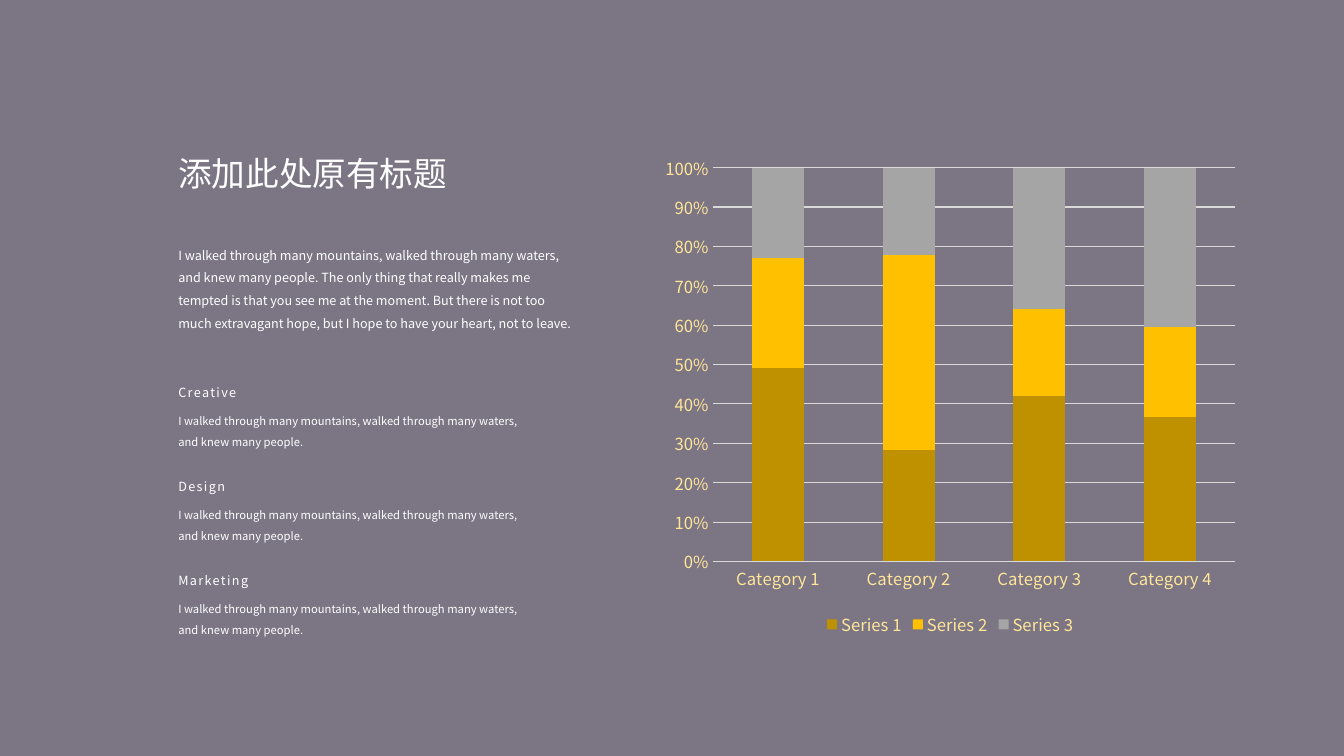
from dataclasses import dataclass

from lxml import etree
from pptx import Presentation
from pptx import util as u
from pptx.chart import data as chart_data
from pptx.dml.color import RGBColor
from pptx.enum import chart as charts, text
from pptx.oxml.ns import qn

FONT = "Noto Sans CJK SC"
COLORS = {
    "background": "7B7584",
    "text": "FFFFFF",
    "label": "FFE699",
    "grid": "D9D9D9",
}
SHORT_TEXT = "I walked through many mountains, walked through many waters, and knew many people."
LONG_TEXT = (
    SHORT_TEXT + " The only thing that really makes me tempted is that you see me at the moment."
    " But there is not too much extravagant hope, but I hope to have your heart, not to leave."
)
TEXT_LEFT = 1.67
TOPICS = ("Creative", "Design", "Marketing")
TOPICS_TOP, TOPIC_STEP, TOPIC_TEXT_OFFSET = 3.77, 0.93, 0.22
CATEGORIES = [f"Category {number}" for number in range(1, 5)]


@dataclass(frozen=True)
class TextBlock:
    words: str
    top: float
    width: float
    height: float
    size: float
    line_spacing: float | u.Length | None = None
    middle: bool = False
    tracking: int = 0  # hundredths of a point


@dataclass(frozen=True)
class Series:
    name: str
    values: tuple[int, ...]
    color: str


SERIES = (
    Series("Series 1", (49, 28, 42, 37), "BF9000"),
    Series("Series 2", (28, 49, 22, 23), "FFC000"),
    Series("Series 3", (23, 22, 36, 41), "A5A5A5"),
)


def rgb(name: str) -> RGBColor:
    return RGBColor.from_string(COLORS[name])


def set_font(font, size: float, color: str) -> None:
    for attribute, value in {"name": FONT, "size": u.Pt(size)}.items():
        setattr(font, attribute, value)
    font.color.rgb = rgb(color)


def add_text(slide, block: TextBlock) -> None:
    box = slide.shapes.add_textbox(
        u.Inches(TEXT_LEFT), u.Inches(block.top), u.Inches(block.width), u.Inches(block.height)
    )
    frame = box.text_frame
    frame_format = {
        "word_wrap": True,
        "auto_size": text.MSO_AUTO_SIZE.SHAPE_TO_FIT_TEXT,
        "vertical_anchor": text.MSO_ANCHOR.MIDDLE if block.middle else text.MSO_ANCHOR.TOP,
    }
    for attribute, value in frame_format.items():
        setattr(frame, attribute, value)
    paragraph = frame.paragraphs[0]
    paragraph.line_spacing = block.line_spacing
    run = paragraph.add_run()
    run.text = block.words
    set_font(run.font, block.size, "text")
    properties = run._r.get_or_add_rPr()
    etree.SubElement(properties, qn("a:ea"), typeface=FONT)
    if block.tracking:
        properties.set("spc", str(block.tracking))


def add_share_chart(slide) -> None:
    """Add the columns that show each series' share of its category."""
    shares = chart_data.CategoryChartData()
    shares.categories = CATEGORIES
    for series in SERIES:
        shares.add_series(series.name, series.values)
    chart = slide.shapes.add_chart(
        charts.XL_CHART_TYPE.COLUMN_STACKED_100,
        u.Inches(6.48), u.Inches(1.44), u.Inches(5.89), u.Inches(4.92), shares,
    ).chart
    set_font(chart.font, 10, "label")
    chart.has_title = False

    plot = chart.plots[0]
    for attribute, value in {"gap_width": 150, "overlap": 100, "vary_by_categories": False}.items():
        setattr(plot, attribute, value)
    for column, series in zip(plot.series, SERIES):
        column.format.fill.solid()
        column.format.fill.fore_color.rgb = RGBColor.from_string(series.color)

    axis_format = {
        "major_tick_mark": charts.XL_TICK_MARK.NONE,
        "minor_tick_mark": charts.XL_TICK_MARK.NONE,
    }
    for axis in (chart.category_axis, chart.value_axis):
        for attribute, value in axis_format.items():
            setattr(axis, attribute, value)
        axis.format.line.fill.background()
        set_font(axis.tick_labels.font, 11.9, "label")
    percent_labels = chart.value_axis.tick_labels
    percent_labels.number_format = "0%"
    percent_labels.number_format_is_linked = False
    chart.value_axis.has_major_gridlines = True
    grid_line = chart.value_axis.major_gridlines.format.line
    grid_line.width = u.Pt(0.75)
    grid_line.color.rgb = rgb("grid")

    chart.has_legend = True
    chart.legend.position = charts.XL_LEGEND_POSITION.BOTTOM
    chart.legend.include_in_layout = False
    set_font(chart.legend.font, 11.9, "label")


def main() -> None:
    deck = Presentation()
    deck.slide_width, deck.slide_height = u.Inches(13.33), u.Inches(7.5)
    slide = deck.slides.add_slide(deck.slide_layouts[6])
    slide.background.fill.solid()
    slide.background.fill.fore_color.rgb = rgb("background")

    add_share_chart(slide)
    add_text(slide, TextBlock("添加此处原有标题", 1.47, 2.87, 0.5, 24, middle=True))
    add_text(slide, TextBlock(LONG_TEXT, 2.33, 4.13, 0.99, 9, line_spacing=1.5))
    for index, topic in enumerate(TOPICS):
        top = TOPICS_TOP + index * TOPIC_STEP
        add_text(slide, TextBlock(topic, top, 0.96, 0.25, 9, middle=True, tracking=100))
        add_text(
            slide,
            TextBlock(SHORT_TEXT, top + TOPIC_TEXT_OFFSET, 3.57, 0.5, 8, line_spacing=u.Pt(15)),
        )
    deck.save("out.pptx")


if __name__ == "__main__":
    main()
